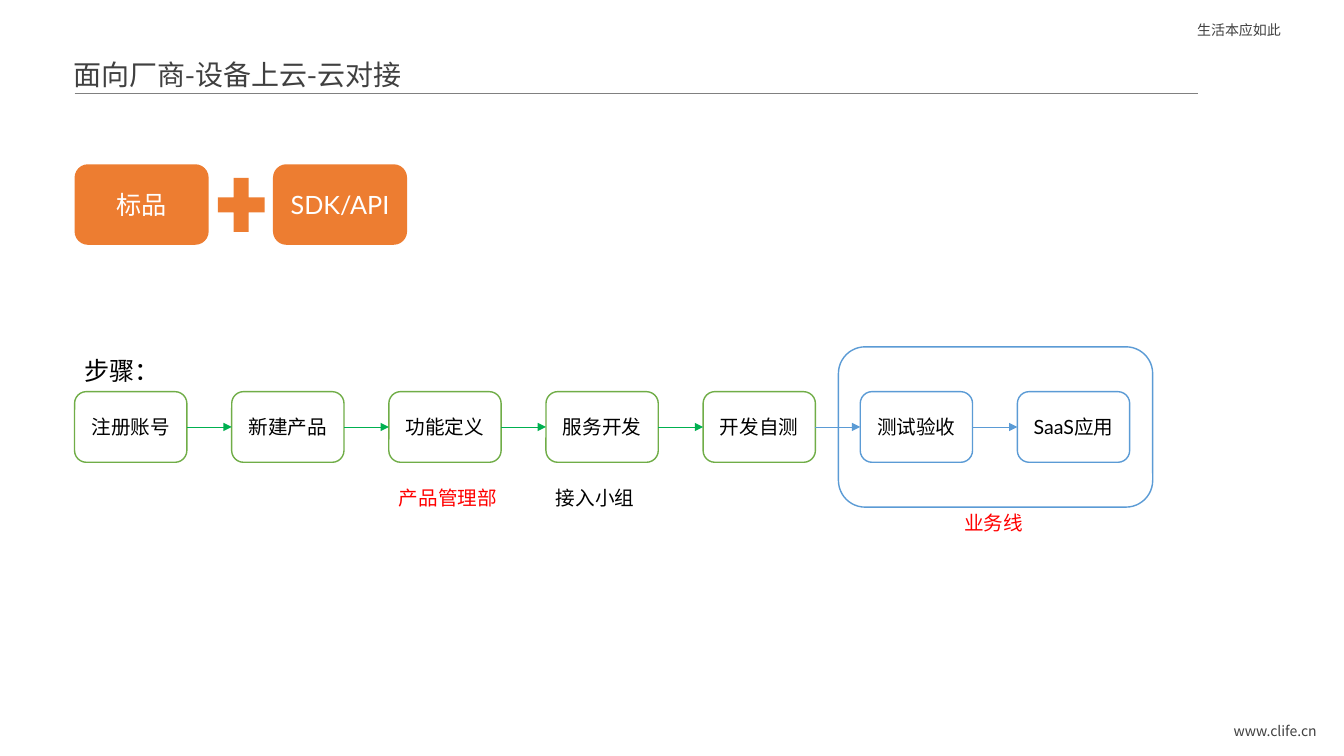
from pptx import Presentation
from pptx.dml.color import RGBColor
from pptx.enum.shapes import MSO_CONNECTOR, MSO_SHAPE as Shape
from pptx.enum.text import MSO_ANCHOR as Anchor, PP_ALIGN as Align
from pptx.oxml.ns import qn
from pptx.util import Cm, Pt
from lxml.etree import SubElement

BLACK, WHITE, RED, GREY = "000000", "FFFFFF", "FF0000", "404040"
ORANGE, GREEN, ARROW_GREEN, BLUE = "ED7D31", "70AD47", "00B050", "5B9BD5"
LATO, NOTO = "Lato", "Noto Sans CJK SC"
RIGHT_SIDE, LEFT_SIDE = 3, 1


def rgb(value):
    return RGBColor.from_string(value)


class Page:
    def __init__(self, slide):
        self.slide = slide

    def set_text(self, frame, text, size, color, font=LATO, align=Align.LEFT,
                 anchor=Anchor.TOP, wrap=True):
        """Put one styled paragraph into a text frame."""
        frame.word_wrap = wrap
        frame.vertical_anchor = anchor
        paragraph = frame.paragraphs[0]
        paragraph.alignment = align
        run = paragraph.add_run()
        run.text = text
        style = {"name": font, "size": Pt(size)}
        for key, value in style.items():
            setattr(run.font, key, value)
        run.font.color.rgb = rgb(color)
        latin = run.font._element.find(qn("a:latin"))
        east_asian = latin.makeelement(qn("a:ea"), {"typeface": NOTO})
        latin.addnext(east_asian)

    def label(self, box, text, size, color, **layout):
        textbox = self.slide.shapes.add_textbox(*map(Cm, box))
        self.set_text(textbox.text_frame, text, size, color, **layout)

    def block(self, kind, box, fill=None, line=None, text="", size=14, color=BLACK):
        shape = self.slide.shapes.add_shape(kind, *map(Cm, box))
        shape.shadow.inherit = False
        if fill:
            shape.fill.solid()
            shape.fill.fore_color.rgb = rgb(fill)
        else:
            shape.fill.background()
        if line:
            shape.line.color.rgb = rgb(line)
            shape.line.width = Pt(1)
        else:
            shape.line.fill.background()
        if text:
            self.set_text(shape.text_frame, text, size, color,
                          align=Align.CENTER, anchor=Anchor.MIDDLE)
        return shape

    def line(self, color, ends=(0, 0, 0, 0)):
        connector = self.slide.shapes.add_connector(
            MSO_CONNECTOR.STRAIGHT, *map(Cm, ends))
        connector.line.color.rgb = rgb(color)
        connector.line.width = Pt(0.5)
        SubElement(connector._element.spPr, qn("a:effectLst"))
        return connector

    def arrow(self, source, target, color):
        connector = self.line(color)
        connector.begin_connect(source, RIGHT_SIDE)
        connector.end_connect(target, LEFT_SIDE)
        outline = connector._element.spPr.find(qn("a:ln"))
        SubElement(outline, qn("a:tailEnd"), type="triangle")


def main():
    deck = Presentation()
    deck.slide_width, deck.slide_height = Cm(33.87), Cm(19.05)
    page = Page(deck.slides.add_slide(deck.slide_layouts[6]))
    left = 1.88

    page.label((29.92, 0.43, 3.51, 0.69), "生活本应如此", 10, GREY,
               font=NOTO, align=Align.JUSTIFY)
    page.label((29.92, 18.08, 3.51, 0.69), "www.clife.cn", 10, GREY,
               font=NOTO, align=Align.RIGHT)
    page.label((1.6, 0.94, 18.11, 1.85), "面向厂商-设备上云-云对接", 20, GREY,
               font=NOTO, anchor=Anchor.MIDDLE)
    page.line("808080", (left, 2.34, 30.2, 2.34))

    for x, text in ((left, "标品"), (6.88, "SDK/API")):
        page.block(Shape.ROUNDED_RECTANGLE, (x, 4.14, 3.38, 2.03), ORANGE,
                   text=text, size=18, color=WHITE)
    page.block(Shape.MATH_PLUS, (5.28, 4.24, 1.6, 1.85), ORANGE)

    page.block(Shape.ROUNDED_RECTANGLE, (21.13, 8.74, 7.92, 4.04), line=BLUE)
    page.label((left, 8.84, 2.44, 1.02), "步骤：", 18, BLACK, wrap=False)

    pitch = 3.96
    vendor_steps = ["注册账号", "新建产品", "功能定义", "服务开发", "开发自测"]
    business_steps = ["测试验收", "SaaS应用"]
    previous = None
    for i, text in enumerate(vendor_steps + business_steps):
        by_vendor = i < len(vendor_steps)
        step = page.block(Shape.ROUNDED_RECTANGLE,
                          (left + i * pitch, 9.87, 2.83, 1.78),
                          WHITE, GREEN if by_vendor else BLUE, text)
        if previous:
            page.arrow(previous, step, ARROW_GREEN if by_vendor else BLUE)
        previous = step

    owners = (
        ("产品管理部", left + 2 * pitch, 12.12, 3.0, RED),
        ("接入小组", left + 3 * pitch, 12.12, 2.51, BLACK),
        ("业务线", 24.05, 12.75, 2.08, RED),
    )
    for text, x, y, width, color in owners:
        page.label((x, y, width, 0.86), text, 14, color, wrap=False)

    deck.save("out.pptx")


if __name__ == "__main__":
    main()
